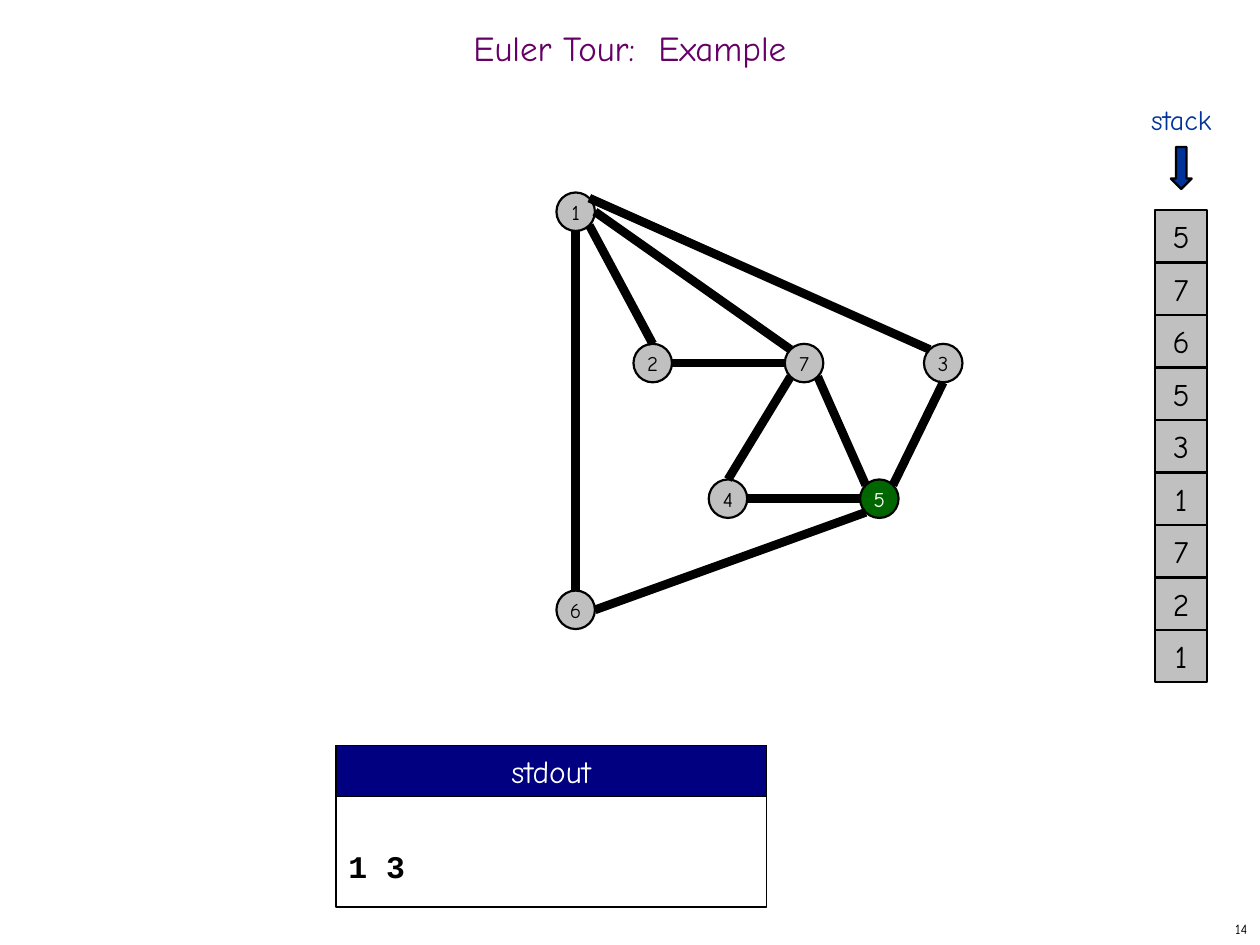
"""Draw the Euler tour example: graph, stack and printed output."""
from dataclasses import dataclass
from math import cos, radians, sin

from lxml import etree
from pptx import Presentation
from pptx.dml.color import RGBColor
from pptx.enum.shapes import MSO_CONNECTOR, MSO_SHAPE
from pptx.enum.text import MSO_ANCHOR, PP_ALIGN
from pptx.oxml.ns import qn
from pptx.shapes.autoshape import Shape
from pptx.shapes.shapetree import SlideShapes
from pptx.util import Pt

OVAL, RECT, ARROW = MSO_SHAPE.OVAL, MSO_SHAPE.RECTANGLE, MSO_SHAPE.DOWN_ARROW
LINE = MSO_CONNECTOR.STRAIGHT
LEFT, MID, RIGHT = PP_ALIGN.LEFT, PP_ALIGN.CENTER, PP_ALIGN.RIGHT
TOP, CENTER, BOTTOM = MSO_ANCHOR.TOP, MSO_ANCHOR.MIDDLE, MSO_ANCHOR.BOTTOM
TURN = {"E": 0, "SE": 45, "S": 90, "SW": 135, "W": 180, "NW": 225, "N": 270, "NE": 315}


@dataclass(frozen=True)
class Theme:
    face: str = "Comic Neue"
    code: str = "Courier New"
    black: str = "000000"
    white: str = "FFFFFF"
    gray: str = "C0C0C0"
    green: str = "006600"
    navy: str = "000080"
    blue: str = "003399"
    plum: str = "660066"
    head: float = 20
    body: float = 18
    label: float = 16
    node: float = 12
    page: float = 8
    thin: float = 0.75
    rim: float = 1.25
    edge: float = 5


@dataclass(frozen=True)
class Box:
    left: float
    top: float
    width: float
    height: float


@dataclass(frozen=True)
class Type:
    size: float
    color: str = "000000"
    face: str = "Comic Neue"
    bold: bool = False
    align: PP_ALIGN = MID
    anchor: MSO_ANCHOR = CENTER
    pad: tuple[float, float] = (0, 0)
    space: float = 1


@dataclass(frozen=True)
class Node:
    x: float
    y: float
    fill: str = "C0C0C0"
    ink: str = "000000"


@dataclass(frozen=True)
class Edge:
    start: int
    leave: str
    end: int
    enter: str


THEME = Theme()
SIZE = 22
CELL = 30
NODES = {
    1: Node(329, 121),
    2: Node(373, 207.5),
    3: Node(539, 207.5),
    4: Node(416, 285),
    5: Node(502.5, 285, THEME.green, THEME.white),
    6: Node(329, 348.5),
    7: Node(459.5, 207.5),
}
EDGES = [
    Edge(1, "E", 7, "NW"),
    Edge(1, "SE", 2, "N"),
    Edge(1, "S", 6, "N"),
    Edge(5, "NE", 3, "S"),
    Edge(4, "E", 5, "W"),
    Edge(1, "NE", 3, "NW"),
    Edge(6, "E", 5, "SW"),
    Edge(2, "E", 7, "W"),
    Edge(4, "N", 7, "SW"),
    Edge(5, "NW", 7, "SE"),
]
STACK = "576531721"


def write(shape: Shape, text: str, style: Type) -> None:
    frame = shape.text_frame
    frame.word_wrap = True
    frame.vertical_anchor = style.anchor
    side, end = style.pad
    frame.margin_left = frame.margin_right = Pt(side)
    frame.margin_top = frame.margin_bottom = Pt(end)
    para = frame.paragraphs[0]
    para.text = text
    para.alignment = style.align
    para.line_spacing = style.space
    font = para.font
    font.name, font.size, font.bold = style.face, Pt(style.size), style.bold
    font.color.rgb = RGBColor.from_string(style.color)


def place(box: Box) -> tuple[Pt, Pt, Pt, Pt]:
    return Pt(box.left), Pt(box.top), Pt(box.width), Pt(box.height)


def note(shapes: SlideShapes, box: Box, text: str, style: Type) -> None:
    write(shapes.add_textbox(*place(box)), text, style)


def form(shapes: SlideShapes, kind: MSO_SHAPE, box: Box, fill: str, rim: float) -> Shape:
    shape = shapes.add_shape(kind, *place(box))
    shape.shadow.inherit = False
    shape.fill.solid()
    shape.fill.fore_color.rgb = RGBColor.from_string(fill)
    shape.line.color.rgb = RGBColor.from_string(THEME.black)
    shape.line.width = Pt(rim)
    return shape


def port(node: Node, side: str) -> tuple[Pt, Pt]:
    angle = radians(TURN[side])
    reach = SIZE / 2
    return Pt(node.x + reach * cos(angle)), Pt(node.y + reach * sin(angle))


def join(shapes: SlideShapes, edge: Edge) -> None:
    start = port(NODES[edge.start], edge.leave)
    end = port(NODES[edge.end], edge.enter)
    line = shapes.add_connector(LINE, *start, *end)
    line.line.color.rgb = RGBColor.from_string(THEME.black)
    line.line.width = Pt(THEME.edge)
    etree.SubElement(line._element.spPr, qn("a:effectLst"))


def graph(shapes: SlideShapes) -> None:
    for name, node in NODES.items():
        box = Box(node.x - SIZE / 2, node.y - SIZE / 2, SIZE, SIZE)
        shape = form(shapes, OVAL, box, node.fill, THEME.rim)
        write(shape, str(name), Type(THEME.node, node.ink))
    for edge in EDGES:
        join(shapes, edge)


def stack(shapes: SlideShapes) -> None:
    note(shapes, Box(645, 55, 60, 27), "stack",
         Type(THEME.label, THEME.blue, anchor=TOP, pad=(7.2, 3.6)))
    form(shapes, ARROW, Box(669, 84, 12, 24), THEME.blue, THEME.rim)
    for row, name in enumerate(STACK):
        box = Box(660, 120 + row * CELL, CELL, CELL)
        write(form(shapes, RECT, box, THEME.gray, THEME.rim), name, Type(THEME.body))


def output(shapes: SlideShapes) -> None:
    panel = form(shapes, RECT, Box(192, 426, 246, 92.4), THEME.white, THEME.thin)
    write(panel, "1 3", Type(THEME.body, face=THEME.code, bold=True, align=LEFT,
                             anchor=BOTTOM, pad=(7.2, 12.5)))
    head = form(shapes, RECT, Box(192, 426, 246, 29), THEME.navy, THEME.thin)
    write(head, "stdout", Type(THEME.body, THEME.white))


def main() -> None:
    deck = Presentation()
    deck.slide_width, deck.slide_height = Pt(720), Pt(540)
    shapes = deck.slides.add_slide(deck.slide_layouts[6]).shapes
    note(shapes, Box(570, 522, 150, 18), "14",
         Type(THEME.page, align=RIGHT, pad=(7.2, 3.6)))
    note(shapes, Box(0, 12, 720, 36), "Euler Tour:  Example",
         Type(THEME.head, THEME.plum, pad=(7.2, 3.6), space=0.7))
    graph(shapes)
    stack(shapes)
    output(shapes)
    deck.save("out.pptx")


if __name__ == "__main__":
    main()
